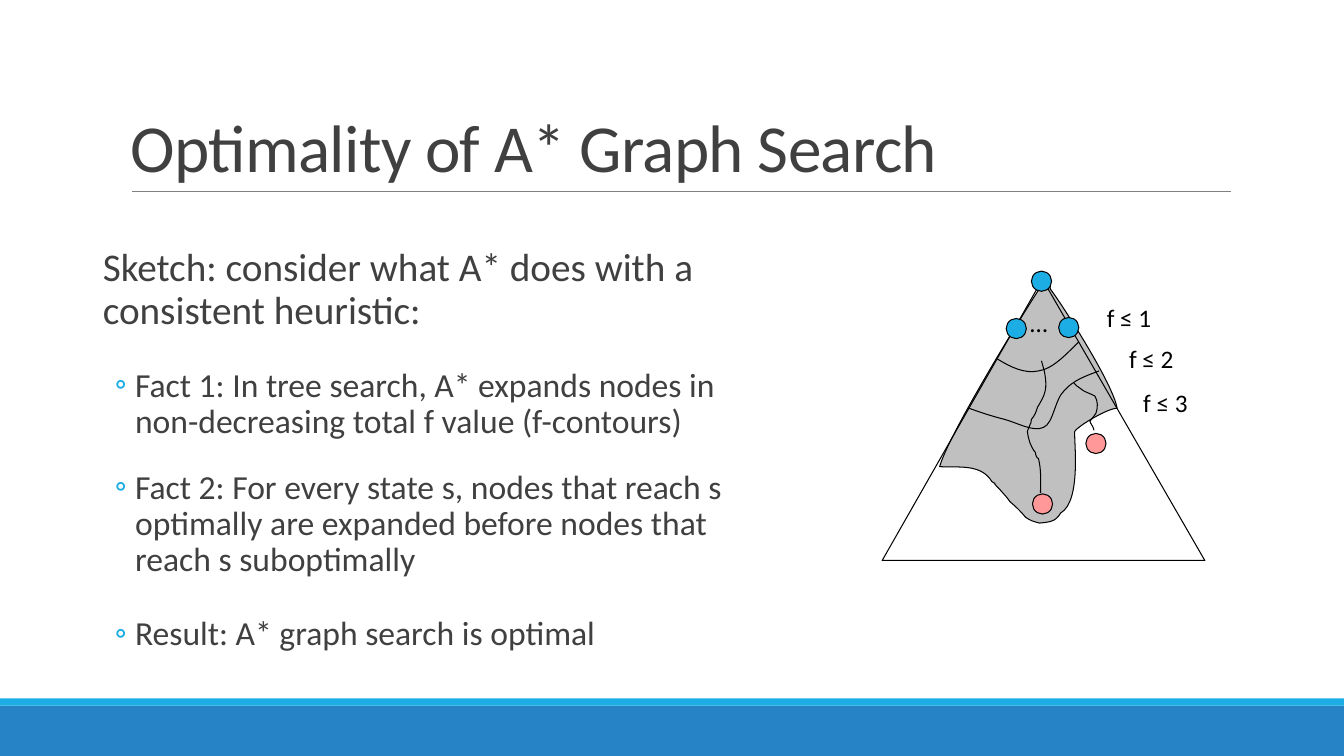
from lxml import etree
from pptx import Presentation
from pptx.dml.color import RGBColor
from pptx.enum.shapes import MSO_CONNECTOR, MSO_SHAPE
from pptx.enum.text import MSO_ANCHOR
from pptx.oxml.ns import qn
from pptx.util import Inches, Pt


class Theme:
    font = "Calibri"
    text = RGBColor.from_string("404040")
    black = RGBColor.from_string("000000")
    rule = RGBColor.from_string("808080")
    accent = RGBColor.from_string("1CADE4")
    footer = RGBColor.from_string("2683C6")
    explored = RGBColor.from_string("C0C0C0")
    goal = RGBColor.from_string("FF9999")
    title_size, lead_size, fact_size, label_size = Pt(48), Pt(28), Pt(24), Pt(18)
    outline = Pt(0.75)


presentation = Presentation()
presentation.slide_width, presentation.slide_height = Inches(13.33), Inches(7.5)
slide = presentation.slides.add_slide(presentation.slide_layouts[6])
shapes = slide.shapes


def add_text(left, top, width, height, lines, size, color):
    """Add a wrapping text box with one paragraph per line."""
    box = shapes.add_textbox(Inches(left), Inches(top), Inches(width), Inches(height))
    frame = box.text_frame
    frame.text = "\n".join(lines)
    frame.word_wrap = True
    for paragraph in frame.paragraphs:
        font = paragraph.runs[0].font
        font.name, font.size, font.color.rgb = Theme.font, size, color
    return frame


def add_outline(points, fill=None, closed=False, curved=True):
    """Draw a path; curved points are a start, then triples of cubic Bezier points."""
    corners = [(Inches(x), Inches(y)) for x, y in points]
    builder = shapes.build_freeform(*corners[0])
    builder.add_line_segments(corners[1:], close=closed)
    shape = builder.convert_to_shape()
    if curved:
        # Each three straight segments become one Bezier segment
        segments = list(shape._element.iter(qn("a:lnTo")))
        for first in range(0, len(points) - 1, 3):
            bezier = etree.Element(qn("a:cubicBezTo"))
            segments[first].addprevious(bezier)
            for segment in segments[first:first + 3]:
                bezier.append(segment[0])
                segment.getparent().remove(segment)
    shape.shadow.inherit = False
    shape.line.color.rgb, shape.line.width = Theme.black, Theme.outline
    if fill is None:
        shape.fill.background()
    else:
        shape.fill.solid()
        shape.fill.fore_color.rgb = fill


# Footer bands
for top, height, color in ((7, 0.5, Theme.footer), (6.93, 0.07, Theme.accent)):
    band = shapes.add_shape(MSO_SHAPE.RECTANGLE, 0, Inches(top),
                            presentation.slide_width, Inches(height))
    band.shadow.inherit = False
    band.fill.solid()
    band.fill.fore_color.rgb = color
    band.line.fill.background()

# Title and rule
title = add_text(1.2, 0.31, 11, 1.59, ["Optimality of A* Graph Search"],
                 Theme.title_size, Theme.text)
title.vertical_anchor = MSO_ANCHOR.BOTTOM
title.paragraphs[0].line_spacing = 0.85
title.paragraphs[0].runs[0]._r.get_or_add_rPr().set("spc", "-50")
rule = shapes.add_connector(MSO_CONNECTOR.STRAIGHT, Inches(1.31), Inches(1.9),
                            Inches(12.21), Inches(1.9))
rule.line.color.rgb, rule.line.width = Theme.rule, Pt(0.5)
etree.SubElement(rule._element.spPr, qn("a:effectLst"))

# Proof sketch
body = add_text(0.92, 1.75, 6.83, 4.83, [
    "Sketch: consider what A* does with a consistent heuristic:",
    "Fact 1: In tree search, A* expands nodes in non-decreasing total f value (f-contours)",
    "Fact 2: For every state s, nodes that reach s optimally are expanded before nodes "
    "that reach s suboptimally",
    "Result: A* graph search is optimal",
], Theme.fact_size, Theme.text)
body.margin_left = body.margin_right = 0
body.margin_top = Inches(0.71)
lead, *facts = body.paragraphs
lead.runs[0].font.size = Theme.lead_size
lead.line_spacing, lead.space_after = 0.9, Pt(2)
lead._p.get_or_add_pPr().set("marL", str(Inches(0.1)))
for fact, gap in zip(facts, (23.5, 17, 23)):
    fact.line_spacing, fact.space_before, fact.space_after = 0.9, Pt(gap), Pt(4)
    properties = fact._p.get_or_add_pPr()
    properties.set("marL", str(Inches(0.42)))
    properties.set("indent", str(Inches(-0.2)))
    bullet_color = etree.SubElement(properties, qn("a:buClr"))
    etree.SubElement(bullet_color, qn("a:srgbClr")).set("val", str(Theme.accent))
    etree.SubElement(properties, qn("a:buFont")).set("typeface", Theme.font)
    etree.SubElement(properties, qn("a:buChar")).set("char", "◦")

# Explored region inside the search tree
add_outline([
    (10.42, 2.87), (10.56, 3.06), (11.04, 3.81), (11.08, 4.05),
    (10.99, 4.05), (10.7, 4.22), (10.66, 4.28), (10.65, 4.36), (10.73, 4.97), (10.52, 5.09),
    (10.47, 5.18), (10.4, 5.18), (10.31, 5.19), (10.24, 5.17), (10.23, 5.17), (10.17, 5.13),
    (10.14, 5.09), (10.07, 5.02), (10.02, 4.98), (9.96, 4.9), (9.99, 4.94), (9.92, 4.86),
    (9.8, 4.74), (9.92, 4.83), (9.84, 4.78), (9.73, 4.6), (9.52, 4.64), (9.32, 4.63),
    (9.4, 4.33), (10.11, 3.17), (10.3, 2.88), (10.48, 2.58), (10.4, 2.87), (10.42, 2.87),
], fill=Theme.explored, closed=True)
add_outline([(8.75, 5.56), (11.95, 5.56), (10.34, 2.77)], closed=True, curved=False)

# Paths to the goals
optimal_path = [
    (10.33, 3.58), (10.34, 3.62), (10.35, 3.65), (10.36, 3.69),
    (10.39, 3.86), (10.37, 3.91), (10.29, 4.04), (10.28, 4.08), (10.26, 4.13), (10.23, 4.16),
    (10.22, 4.23), (10.23, 4.17), (10.21, 4.23), (10.2, 4.25), (10.19, 4.28), (10.19, 4.28),
    (10.2, 4.36), (10.22, 4.43), (10.27, 4.49), (10.27, 4.5), (10.27, 4.51), (10.28, 4.53),
    (10.28, 4.54), (10.29, 4.54), (10.3, 4.55), (10.33, 4.67), (10.32, 4.77), (10.32, 4.89),
]
suboptimal_path = [
    (10.65, 3.8), (10.67, 3.82), (10.69, 3.84), (10.71, 3.85),
    (10.75, 3.89), (10.81, 3.9), (10.86, 3.93), (10.89, 3.98), (10.89, 4.04), (10.87, 4.1),
    (10.85, 4.13), (10.81, 4.18), (10.81, 4.18), (10.82, 4.21), (10.85, 4.24), (10.85, 4.27),
]

# Contours of equal f
outer_contour = [
    (10.9, 3.68), (10.77, 3.73), (10.65, 3.77), (10.56, 3.87),
    (10.46, 3.96), (10.45, 4.2), (10.35, 4.24), (10.25, 4.29), (10.08, 4.19), (9.96, 4.16),
    (9.84, 4.13), (9.72, 4.09), (9.61, 4.05),
]
inner_contour = [
    (10.7, 3.39), (10.57, 3.52), (10.44, 3.66), (10.3, 3.68),
    (10.16, 3.71), (10.02, 3.64), (9.89, 3.56),
]
for curve in (optimal_path, suboptimal_path, outer_contour, inner_contour):
    add_outline(curve)

# Tree nodes and goals
for left, top, color in (
    (10.23, 2.69, Theme.accent), (9.98, 3.16, Theme.accent), (10.5, 3.15, Theme.accent),
    (10.77, 4.3, Theme.goal), (10.24, 4.9, Theme.goal),
):
    node = shapes.add_shape(MSO_SHAPE.OVAL, Inches(left), Inches(top), Inches(0.2), Inches(0.2))
    node.shadow.inherit = False
    node.fill.solid()
    node.fill.fore_color.rgb = color
    node.line.color.rgb, node.line.width = Theme.black, Theme.outline

# Ellipsis between siblings and contour labels
for left, top, width, label in (
    (10.12, 3, 0.3, "…"), (10.88, 2.95, 0.9, "f ≤ 1"),
    (11.1, 3.36, 0.9, "f ≤ 2"), (11.24, 3.79, 0.9, "f ≤ 3"),
):
    add_text(left, top, width, 0.4, [label], Theme.label_size, Theme.black)

presentation.save("out.pptx")
